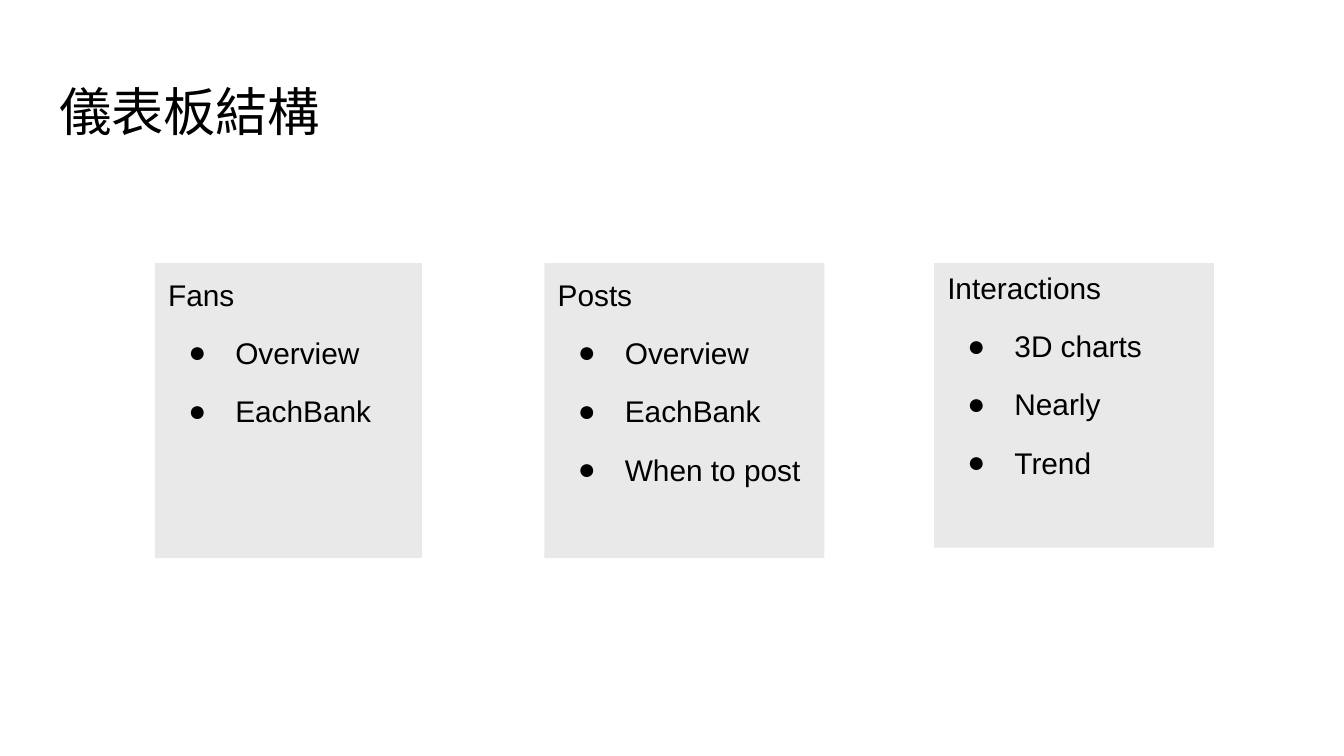
from lxml.etree import SubElement
from pptx import Presentation
from pptx.dml.color import RGBColor
from pptx.enum.shapes import MSO_SHAPE
from pptx.enum.text import MSO_ANCHOR, PP_ALIGN
from pptx.oxml.ns import qn
from pptx.util import Pt

COLORS = {"text": "000000", "panel": "E9E9E9", "page": "FFFFFF"}


def color(name):
    return RGBColor.from_string(COLORS[name])


def style(paragraph, size):
    paragraph.alignment = PP_ALIGN.LEFT
    paragraph.font.size = Pt(size)
    paragraph.font.name = "Arial"
    paragraph.font.color.rgb = color("text")


deck = Presentation()
deck.slide_width, deck.slide_height = Pt(720), Pt(405)
page = deck.slides.add_slide(deck.slide_layouts[5])
page.background.fill.solid()
page.background.fill.fore_color.rgb = color("page")

# Title
title = page.shapes.title
title.left, title.top, title.width, title.height = Pt(24.5), Pt(35), Pt(671), Pt(48)
title.text_frame.text = "儀表板結構"
title.text_frame.vertical_anchor = MSO_ANCHOR.MIDDLE
title.text_frame.margin_left = title.text_frame.margin_right = Pt(7.2)
title.text_frame.margin_top = title.text_frame.margin_bottom = Pt(7.2)
style(title.text_frame.paragraphs[0], 28)

# Dashboard panels: width, height, vertical inset, heading, items
panels = [
    (143, 158, 7.2, "Fans", ["Overview", "EachBank"]),
    (150, 158, 7.2, "Posts", ["Overview", "EachBank", "When to post"]),
    (150, 152.5, 3.6, "Interactions", ["3D charts", "Nearly", "Trend"]),
]
for index, (width, height, inset, heading, items) in enumerate(panels):
    panel = page.shapes.add_shape(
        MSO_SHAPE.RECTANGLE, Pt(83 + index * 208.7), Pt(141), Pt(width), Pt(height))
    panel.shadow.inherit = False
    panel.fill.solid()
    panel.fill.fore_color.rgb = color("panel")
    panel.line.fill.background()

    frame = panel.text_frame
    frame.word_wrap = True
    frame.vertical_anchor = MSO_ANCHOR.TOP
    frame.margin_left = frame.margin_right = Pt(7.2)
    frame.margin_top = frame.margin_bottom = Pt(inset)
    frame.text = "\n".join([heading, *items])
    for position, para in enumerate(frame.paragraphs):
        para.space_after = Pt(12)
        if position > 0:
            properties = para._p.get_or_add_pPr()
            properties.set("marL", str(Pt(36)))
            properties.set("indent", str(Pt(-25.2)))
            SubElement(properties, qn("a:buFont"), typeface="Arial")
            SubElement(properties, qn("a:buChar"), char="●")
        style(para, 16)

deck.save("out.pptx")
